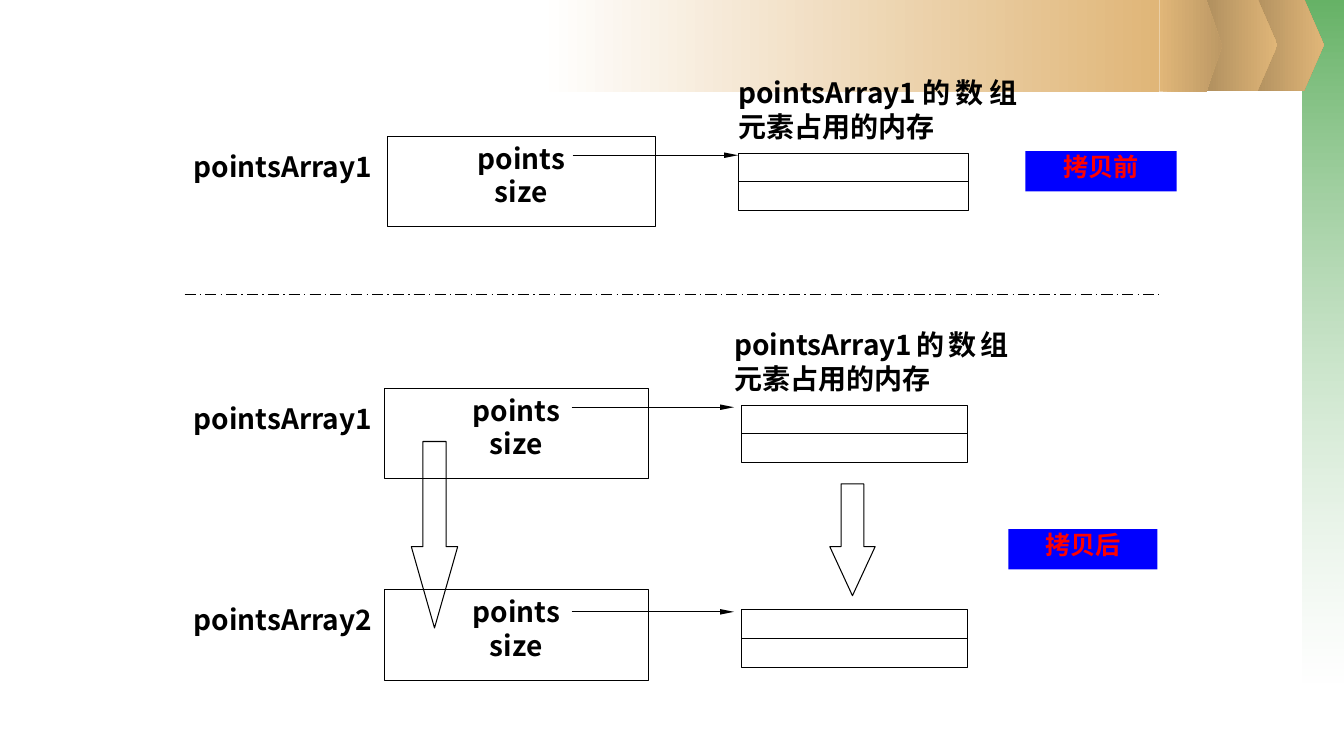
"""Build a slide showing deep copying of a points array, before and after."""
from dataclasses import dataclass

from lxml import etree
from pptx import Presentation
from pptx.dml.color import RGBColor
from pptx.enum.dml import MSO_LINE
from pptx.enum.shapes import MSO_CONNECTOR, MSO_SHAPE
from pptx.enum.text import MSO_ANCHOR, PP_ALIGN
from pptx.oxml.ns import qn
from pptx.util import Inches, Pt

RECTANGLE, PENTAGON, DOWN_ARROW = MSO_SHAPE.RECTANGLE, MSO_SHAPE.PENTAGON, MSO_SHAPE.DOWN_ARROW
STRAIGHT = MSO_CONNECTOR.STRAIGHT
CENTER, JUSTIFY = PP_ALIGN.CENTER, PP_ALIGN.JUSTIFY
TOP, DASH_DOT = MSO_ANCHOR.TOP, MSO_LINE.LONG_DASH_DOT
LEFT_SIDE, RIGHT_SIDE = 1, 3


@dataclass(frozen=True)
class Theme:
    """Colours, fonts and sizes."""
    ink: str = "000000"
    paper: str = "FFFFFF"
    green: str = "339933"
    sand: str = "E0B678"
    shade: str = "AB8B5C"
    deep_sand: str = "BD9965"
    tag: str = "0000FF"
    tag_text: str = "FF0000"
    font: str = "Noto Sans CJK SC"
    tag_font: str = "Arial"
    size: int = 20
    tag_size: int = 18
    leading: int = 24
    thin: float = 0.75
    divider: float = 1


THEME = Theme()
WIDTH, HEIGHT = 13.33, 7.5

BACKDROP = [
    (RECTANGLE, (12.92, 0, 0.41, 6.77), (THEME.green, THEME.paper), 270, (75, 37)),
    (PENTAGON, (12.34, -0.01, 0.79, 0.91), (THEME.shade, THEME.sand), 0, ()),
    (PENTAGON, (11.88, -0.01, 0.79, 0.91), (THEME.shade, THEME.sand), 0, ()),
    (RECTANGLE, (5.36, 0, 6.14, 0.91), (THEME.paper, THEME.sand), 0, ()),
    (PENTAGON, (11.5, 0, 0.62, 0.91), (THEME.sand, THEME.deep_sand), 0, ()),
]

FIELDS = ["points", "size"]
CAPTION = "pointsArray1的数组元素占用的内存"
BEFORE = {"box": (3.84, 2.66), "memory": (7.32, 2.29), "pointer": (5.68, 7.32),
          "caption": (7.32, 2.77)}
AFTER = {"box": (3.81, 2.62), "memory": (7.35, 2.25), "pointer": (5.67, 7.28),
         "caption": (7.28, 2.72)}
ROWS = [
    ("pointsArray1", 1.35, 0.17, BEFORE, CAPTION),
    ("pointsArray1", 3.85, 0.17, AFTER, CAPTION),
    ("pointsArray2", 5.85, 0.2, AFTER, ""),
]
LABEL_LEFT, LABEL_WIDTH, LABEL_HEIGHT, LABEL_DROP = 1.92, 1.88, 0.35, 0.13
BOX_HEIGHT, MEMORY_HEIGHT = 0.9, 0.57
CAPTION_HEIGHT, CAPTION_RISE, POINTER_DROP = 0.73, 0.6, 0.02

COPY_ARROWS = [((4.08, 4.38, 0.46, 1.85), 1.753), ((8.23, 4.8, 0.45, 1.11), 1.082)]
TAGS = [("拷贝前", (10.17, 1.5, 1.5, 0.4)), ("拷贝后", (10, 5.25, 1.48, 0.4))]
DIVIDER = (1.83, 2.92, 11.5, 2.92)


def color(value):
    return RGBColor.from_string(value)


def add_outline(page, kind, place):
    shape = page.shapes.add_shape(kind, *map(Inches, place))
    shape.shadow.inherit = False
    shape.fill.background()
    shape.line.color.rgb = color(THEME.ink)
    shape.line.width = Pt(THEME.thin)
    return shape


def add_backdrop(page, kind, place, colors, angle, opacities):
    shape = add_outline(page, kind, place)
    shape.line.fill.background()
    if kind == PENTAGON:
        shape.adjustments[0] = 0.25
    shape.fill.gradient()
    shape.fill.gradient_angle = angle
    for stop, value, position in zip(shape.fill.gradient_stops, colors, (0, 1)):
        stop.color.rgb = color(value)
        stop.position = position
    for tint, opacity in zip(shape.element.spPr.iter(qn("a:srgbClr")), opacities):
        etree.SubElement(tint, qn("a:alpha"), val=str(opacity * 1000))


def add_line(page, ends, width=THEME.thin):
    line = page.shapes.add_connector(STRAIGHT, *map(Inches, ends))
    line.line.color.rgb = color(THEME.ink)
    line.line.width = Pt(width)
    etree.SubElement(line.element.spPr, qn("a:effectLst"))
    return line


def add_pointer(page, ends):
    line = add_line(page, ends)
    outline = line.element.spPr.find(qn("a:ln"))
    etree.SubElement(outline, qn("a:tailEnd"), type="triangle", w="sm", len="lg")


def write(shape, lines, align, insets=(0, 0), font=THEME.font, size=THEME.size,
          ink=THEME.ink, leading=THEME.leading):
    frame = shape.text_frame
    frame.word_wrap = True
    frame.vertical_anchor = TOP
    frame.margin_left = frame.margin_right = Inches(insets[0])
    frame.margin_top = frame.margin_bottom = Inches(insets[1])
    frame.text = "\n".join(lines)
    for para in frame.paragraphs:
        para.alignment = align
        if leading:
            para.line_spacing = Pt(leading)
        for span in para.runs:
            span.font.size = Pt(size)
            span.font.bold = True
            span.font.color.rgb = color(ink)
            span.font.name = font
            etree.SubElement(span.font._element, qn("a:ea"), typeface=THEME.font)


def add_text(page, place, text):
    write(page.shapes.add_textbox(*map(Inches, place)), [text], JUSTIFY)


def add_memory(page, left, top, width):
    memory = add_outline(page, RECTANGLE, (left, top, width, MEMORY_HEIGHT))
    middle = top + MEMORY_HEIGHT / 2
    split = add_line(page, (left, middle, left + width, middle))
    split.begin_connect(memory, LEFT_SIDE)
    split.end_connect(memory, RIGHT_SIDE)


def add_row(page, name, top, memory_drop, columns, caption):
    left, width = columns["box"]
    box = add_outline(page, RECTANGLE, (left, top, width, BOX_HEIGHT))
    write(box, FIELDS, CENTER, insets=(0, 0.05))
    add_text(page, (LABEL_LEFT, top + LABEL_DROP, LABEL_WIDTH, LABEL_HEIGHT), name)
    if caption:
        left, width = columns["caption"]
        add_text(page, (left, top - CAPTION_RISE, width, CAPTION_HEIGHT), caption)
    left, width = columns["memory"]
    add_memory(page, left, top + memory_drop, width)
    start, end = columns["pointer"]
    level = top + memory_drop + POINTER_DROP
    add_pointer(page, (start, level, end, level))


def main():
    deck = Presentation()
    deck.slide_width, deck.slide_height = Inches(WIDTH), Inches(HEIGHT)
    page = deck.slides.add_slide(deck.slide_layouts[6])
    for piece in BACKDROP:
        add_backdrop(page, *piece)
    for row in ROWS:
        add_row(page, *row)
    for place, head in COPY_ARROWS:
        arrow = add_outline(page, DOWN_ARROW, place)
        arrow.adjustments[0], arrow.adjustments[1] = 0.5, head
    for text, place in TAGS:
        tag = add_outline(page, RECTANGLE, place)
        tag.fill.solid()
        tag.fill.fore_color.rgb = color(THEME.tag)
        tag.line.fill.background()
        write(tag, [text], CENTER, insets=(0.1, 0), font=THEME.tag_font,
              size=THEME.tag_size, ink=THEME.tag_text, leading=None)
    add_line(page, DIVIDER, THEME.divider).line.dash_style = DASH_DOT
    deck.save("out.pptx")


if __name__ == "__main__":
    main()
